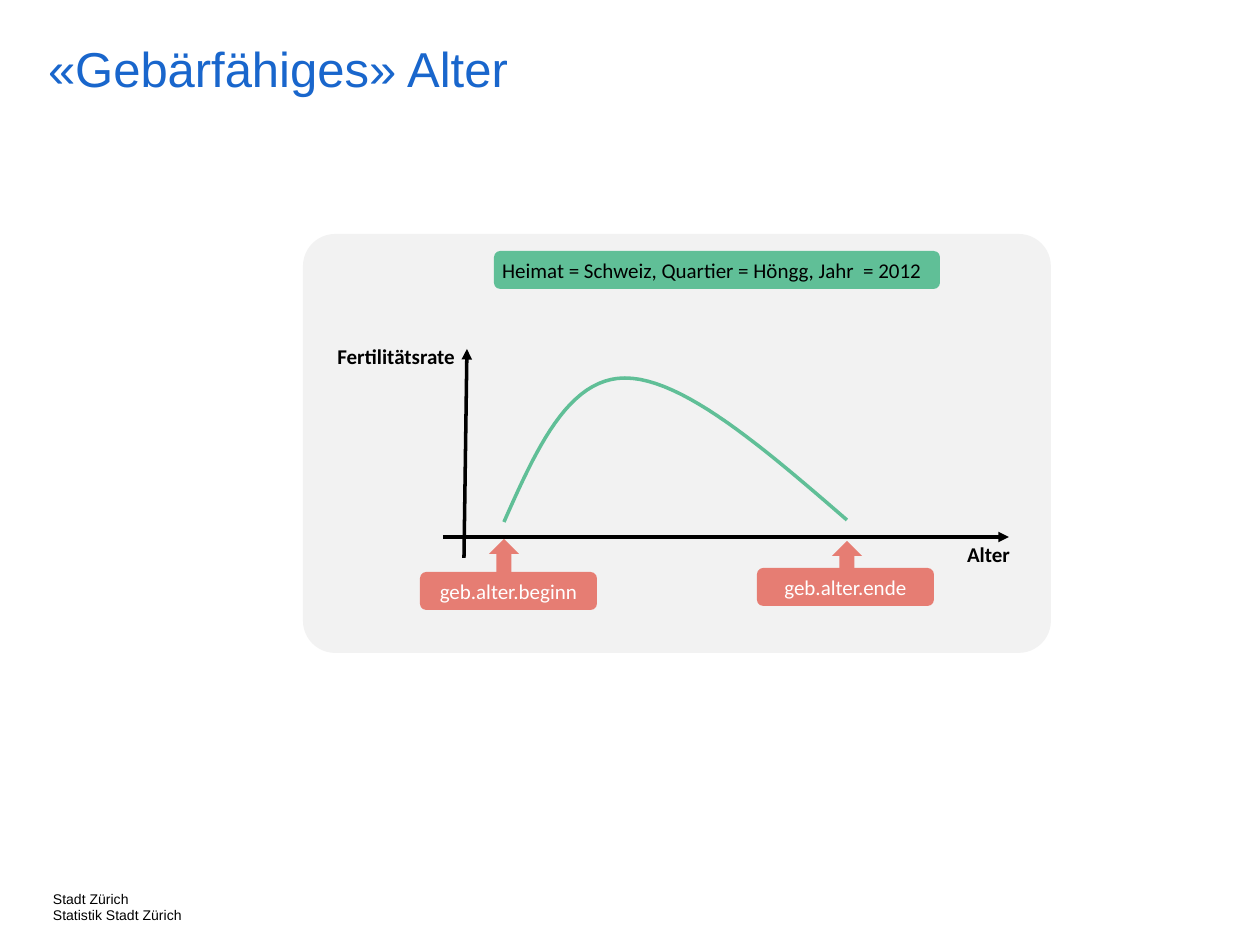
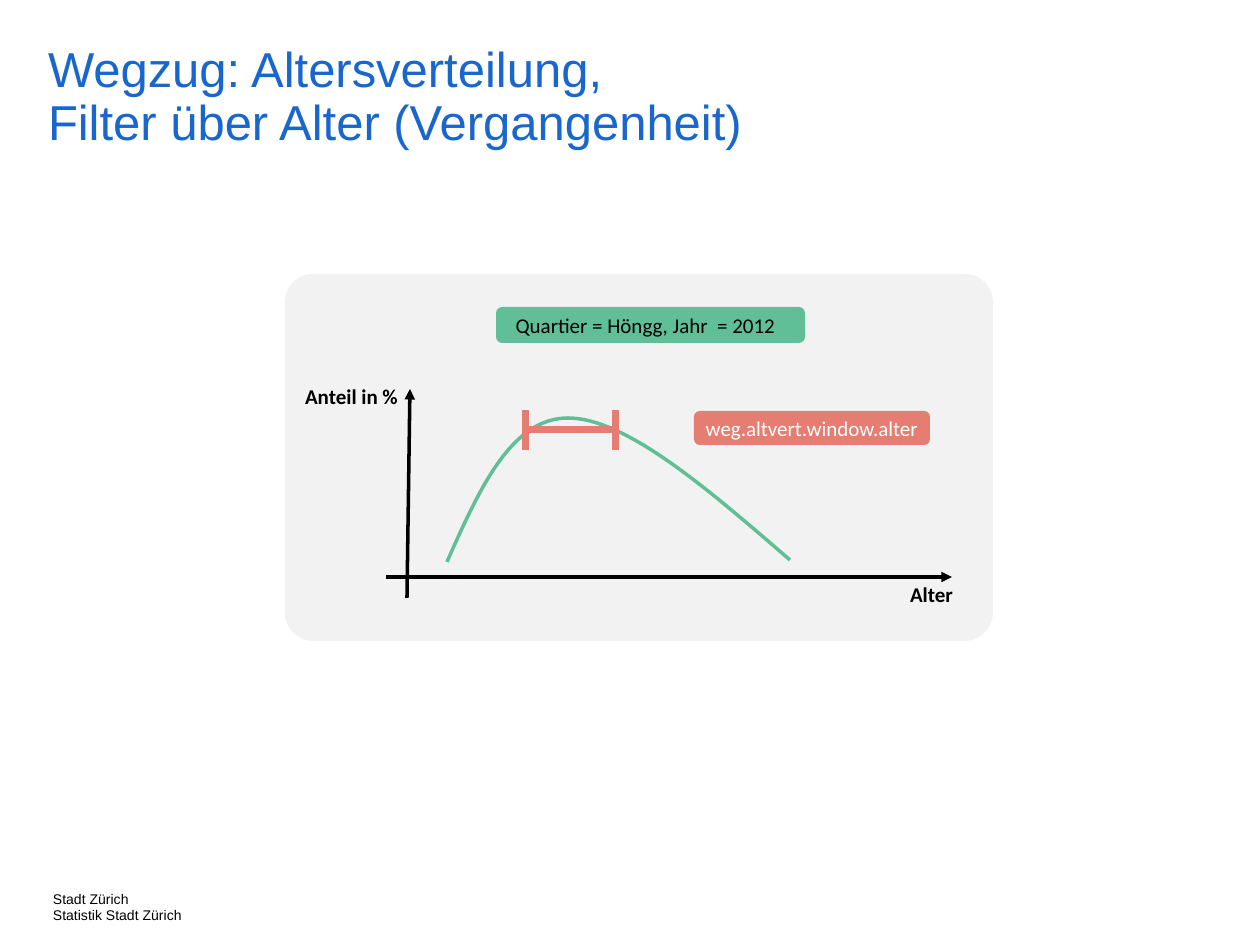
import pptx
import pptx.util
import pptx.dml.color
import pptx.enum.shapes
import pptx.enum.text
import lxml.etree

PX = 914400 // 126  # EMU per pixel
COLORS = {
    "title": "1966CC",
    "text": "000000",
    "light": "FFFFFF",
    "panel": "F2F2F2",
    "green": "60BF97",
    "red": "E67D73",
}
SHAPES = pptx.enum.shapes.MSO_SHAPE
ALIGN = pptx.enum.text.PP_ALIGN
ANCHOR = pptx.enum.text.MSO_ANCHOR
INSETS = (12, 6, 12, 6)  # left, top, right, bottom
TITLE_ONLY = 5
CURVE_STEPS = 24


def px(*lengths):
    return [round(length * PX) for length in lengths]


def rgb(name):
    return pptx.dml.color.RGBColor.from_string(COLORS[name])


def write(shape, text, size=12, font="Calibri", color="text", bold=False,
          align=ALIGN.LEFT, anchor=ANCHOR.TOP, insets=INSETS, wrap=True,
          spacing=1.0):
    """Fill a shape with text, one paragraph per line."""
    frame = shape.text_frame
    frame.auto_size = pptx.enum.text.MSO_AUTO_SIZE.NONE
    frame.word_wrap = wrap
    frame.vertical_anchor = anchor
    (frame.margin_left, frame.margin_top,
     frame.margin_right, frame.margin_bottom) = px(*insets)
    frame.text = text
    for paragraph in frame.paragraphs:
        paragraph.alignment = align
        paragraph.line_spacing = spacing
        for run in paragraph.runs:
            run.font.size = pptx.util.Pt(size)
            run.font.name = font
            run.font.bold = bold
            run.font.color.rgb = rgb(color)


def add_label(shapes, box, text, **style):
    write(shapes.add_textbox(*px(*box)), text, **style)


def add_block(shapes, kind, box, color):
    block = shapes.add_shape(kind, *px(*box))
    block.shadow.inherit = False
    block.fill.solid()
    block.fill.fore_color.rgb = rgb(color)
    block.line.fill.background()
    return block


def add_tag(shapes, box, text, fill, color, insets=INSETS):
    tag = add_block(shapes, SHAPES.ROUNDED_RECTANGLE, box, fill)
    write(tag, text, color=color, align=ALIGN.CENTER, anchor=ANCHOR.MIDDLE,
          insets=insets, wrap=False)


def add_line(shapes, start, end, color, width, arrow=False):
    line = shapes.add_connector(pptx.enum.shapes.MSO_CONNECTOR.STRAIGHT,
                                *px(*start, *end))
    line.line.color.rgb = rgb(color)
    line.line.width = pptx.util.Pt(width)
    namespace = "{http://schemas.openxmlformats.org/drawingml/2006/main}"
    if arrow:
        lxml.etree.SubElement(line.line._get_or_add_ln(),
                              namespace + "tailEnd", type="triangle")
    lxml.etree.SubElement(line._element.spPr, namespace + "effectLst")


def bezier(points, t):
    """Point at t on a cubic curve."""
    weights = ((1 - t) ** 3, 3 * t * (1 - t) ** 2, 3 * t ** 2 * (1 - t), t ** 3)
    return tuple(sum(w * p[axis] for w, p in zip(weights, points))
                 for axis in (0, 1))


def add_age_curve(shapes, x, y):
    """Skewed bell: steep rise to the peak, slow fall."""
    start, peak, end = (40, -15), (161, -159), (383, -17)
    rise = (start, (72, -87), (104, -159), peak)
    fall = (peak, (219, -159), (301, -88), end)
    points = [px(x + dx, y + dy)
              for part in (rise, fall)
              for dx, dy in (bezier(part, i / CURVE_STEPS)
                             for i in range(CURVE_STEPS + 1))]
    builder = shapes.build_freeform(*points[0])
    builder.add_line_segments(points[1:], close=False)
    curve = builder.convert_to_shape()
    curve.shadow.inherit = False
    curve.fill.background()
    curve.line.color.rgb = rgb("green")
    curve.line.width = pptx.util.Pt(2)


def add_diagram(slide, panel, origin, y_title, tag_box, tag_text):
    """Panel with axes, age curve and the green tag; returns its shapes."""
    shapes = slide.shapes.add_group_shape().shapes
    background = add_block(shapes, SHAPES.ROUNDED_RECTANGLE, panel, "panel")
    background.adjustments[0] = 0.077
    x, y = origin
    # Axes and their titles
    add_line(shapes, (x - 21, y), (x + 545, y), "text", 2, arrow=True)
    add_label(shapes, (x + 476, y - 1, 97, 38), "Alter", bold=True,
              align=ALIGN.CENTER)
    add_line(shapes, (x, y + 21), (x + 3, y - 188), "text", 2, arrow=True)
    add_label(shapes, (x - 153, y - 199, 156, 38), y_title, bold=True,
              align=ALIGN.RIGHT)
    add_age_curve(shapes, x, y)
    # Selected data, set slightly left of centre
    add_tag(shapes, tag_box, tag_text, "green", "text", insets=(6, 6, 16, 6))
    return shapes


def add_slide(deck, title, title_width):
    slide = deck.slides.add_slide(deck.slide_layouts[TITLE_ONLY])
    heading = slide.shapes.title
    heading.left, heading.top, heading.width, heading.height = px(
        48, 45, title_width, 81)
    plain = dict(font="Arial", insets=(0, 0, 0, 0), spacing=0.9)
    write(heading, title, size=28, color="title", **plain)
    add_label(slide.shapes, (53, 893, 165, 25),
              "Stadt Zürich\nStatistik Stadt Zürich", size=8, wrap=False,
              **plain)
    return slide


def fertile_age(deck):
    slide = add_slide(deck, "«Gebärfähiges» Alter", 1058)
    diagram = add_diagram(slide, (303, 234, 748, 419), (464, 537),
                          "Fertilitätsrate", (494, 251, 446, 38),
                          "Heimat = Schweiz, Quartier = Höngg, Jahr  = 2012")
    # Limits of the age range
    for centre, top, tag_left, tag_top, name in (
            (504, 539, 420, 572, "geb.alter.beginn"),
            (847, 541, 757, 568, "geb.alter.ende")):
        add_block(diagram, SHAPES.UP_ARROW, (centre - 15, top, 30, 35), "red")
        add_tag(diagram, (tag_left, tag_top, 177, 38), name, "red", "light")


def moving_away(deck):
    slide = add_slide(
        deck, "Wegzug: Altersverteilung,\nFilter über Alter (Vergangenheit)",
        1317)
    diagram = add_diagram(slide, (285, 274, 708, 367), (407, 577),
                          "Anteil in %", (496, 307, 309, 36),
                          "Quartier = Höngg, Jahr  = 2012")
    # Age window: a bar with a cap at each end
    left, right, middle, half_cap = 526, 616, 430, 20
    add_line(diagram, (left, middle), (right, middle), "red", 4)
    for cap in (left, right):
        add_line(diagram, (cap, middle - half_cap), (cap, middle + half_cap),
                 "red", 4)
    add_tag(diagram, (694, 411, 236, 34), "weg.altvert.window.alter",
            "red", "light")


def main():
    deck = pptx.Presentation()
    deck.slide_width, deck.slide_height = px(1260, 945)
    fertile_age(deck)
    moving_away(deck)
    deck.save("out.pptx")


main()
